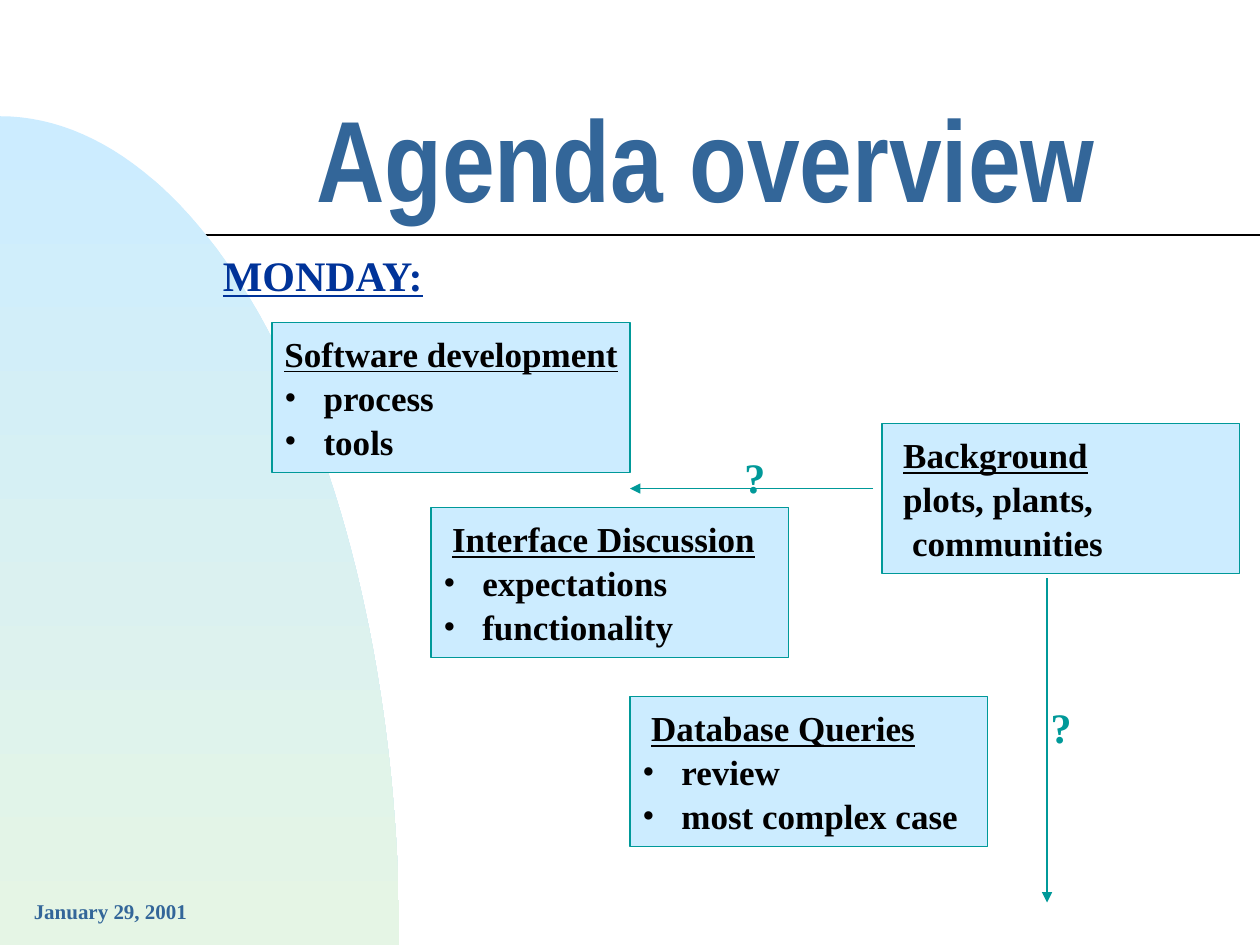
"""Build the agenda overview slide with its topic boxes and arrows."""
import math

from lxml import etree
from pptx import Presentation
from pptx import util as u
from pptx.dml.color import RGBColor
from pptx.enum import shapes, text
from pptx.oxml.ns import qn

BLACK = RGBColor(0x01, 0x00, 0x00)
STEEL = RGBColor(0x33, 0x66, 0x99)
NAVY = RGBColor(0x00, 0x33, 0x99)
TEAL = RGBColor(0x00, 0x99, 0x99)
SKY = RGBColor(0xCC, 0xEC, 0xFF)
MINT = RGBColor(0xE5, 0xF5, 0xE5)
SERIF, NARROW = "Times New Roman", "Arial Narrow"

TITLE = "Agenda overview"
BOX_SIZE = (28.4, 15.9)
BULLET_INDENT, TEXT_INDENT = 0.31, 0.07
TOPICS = [
    {"at": (21.6, 34.1), "heading": "Software development", "indent": 0,
     "bullets": ["process", "tools"]},
    {"at": (34.2, 53.7), "heading": "Interface Discussion", "indent": TEXT_INDENT,
     "bullets": ["expectations", "functionality"]},
    {"at": (50, 73.7), "heading": "Database Queries", "indent": TEXT_INDENT,
     "bullets": ["review", "most complex case"]},
    {"at": (70, 44.8), "heading": "Background", "indent": TEXT_INDENT,
     "lines": [("plots, plants,", TEXT_INDENT), ("communities", 2 * TEXT_INDENT)]},
]
LABELS = [
    ("January 29, 2001", (1.7, 94.4, 16, 4), {"size": 12, "color": STEEL}),
    ("MONDAY:", (16.7, 25.7, 20, 6.7), {"size": 24, "color": NAVY, "underline": True}),
    ("?", (82.4, 73.6, 3.6, 6.7), {"size": 24, "color": TEAL}),
    ("?", (58.1, 47.1, 3.6, 6.7), {"size": 24, "color": TEAL}),
]
ARROWS = [((69.3, 51.7), (50, 51.7)), ((83.1, 61.2), (83.1, 95.5))]
RULE_Y = 24.9
HILL_TOP, HILL_WIDTH, HILL_STEPS = 12.3, 31.7, 60

presentation = Presentation()
presentation.slide_width, presentation.slide_height = u.Inches(10), u.Inches(7.5)


def share(*percents):
    """Turn alternating percentages of slide width and height into lengths."""
    sides = (presentation.slide_width, presentation.slide_height)
    return [round(sides[i % 2] * value / 100) for i, value in enumerate(percents)]


def write(paragraph, content, size=20, color=BLACK, font=SERIF, underline=False,
          indent=0, bullet=False, before=0):
    """Write one bold paragraph with an indent in inches and an optional bullet."""
    properties = paragraph._p.get_or_add_pPr()
    properties.set("marL", str(u.Inches(indent)))
    properties.set("indent", str(-u.Inches(indent) if bullet else 0))
    paragraph.alignment = text.PP_ALIGN.LEFT
    paragraph.space_before = u.Pt(before)
    if bullet:
        etree.SubElement(properties, qn("a:buFont"), typeface=SERIF)
        etree.SubElement(properties, qn("a:buChar"), char="•")
    run = paragraph.add_run()
    run.text = content
    run.font.name, run.font.size, run.font.bold = font, u.Pt(size), True
    run.font.underline = underline
    run.font.color.rgb = color


def add_line(slide, start, end, color, width, arrow=False):
    """Draw a straight line, with a triangle at its end if it is an arrow."""
    line = slide.shapes.add_connector(
        shapes.MSO_CONNECTOR.STRAIGHT, *share(*start), *share(*end))
    line.line.color.rgb, line.line.width = color, u.Pt(width)
    if arrow:
        etree.SubElement(line.line._get_or_add_ln(), qn("a:tailEnd"), type="triangle")
    etree.SubElement(line._element.spPr, qn("a:effectLst"))


def add_hill(slide):
    """Draw the quarter ellipse in the lower left corner."""
    angles = [math.pi / 2 * step / HILL_STEPS for step in range(HILL_STEPS + 1)]
    points = [share(HILL_WIDTH * math.sin(angle),
                    100 - (100 - HILL_TOP) * math.cos(angle)) for angle in angles]
    builder = slide.shapes.build_freeform(*share(0, 100), scale=1.0)
    builder.add_line_segments(points, close=True)
    hill = builder.convert_to_shape()
    hill.shadow.inherit = False
    hill.line.fill.background()
    hill.fill.gradient()
    hill.fill.gradient_angle = 270
    for stop, color in zip(hill.fill.gradient_stops, (SKY, MINT)):
        stop.color.rgb = color


def add_topic(slide, topic):
    """Draw one topic box with its heading and lines."""
    box = slide.shapes.add_shape(
        shapes.MSO_SHAPE.RECTANGLE, *share(*topic["at"], *BOX_SIZE))
    box.shadow.inherit = False
    box.fill.solid()
    box.fill.fore_color.rgb = SKY
    box.line.color.rgb, box.line.width = TEAL, u.Pt(0.75)
    frame = box.text_frame
    frame.word_wrap = True
    frame.margin_right = u.Inches(0.05)
    frame.vertical_anchor = text.MSO_ANCHOR.MIDDLE
    write(frame.paragraphs[0], topic["heading"], underline=True, indent=topic["indent"])
    for bullet in topic.get("bullets", []):
        write(frame.add_paragraph(), bullet, indent=BULLET_INDENT, bullet=True, before=1)
    for line, indent in topic.get("lines", []):
        write(frame.add_paragraph(), line, indent=indent, before=1)


def main():
    """Assemble and save the slide."""
    slide = presentation.slides.add_slide(presentation.slide_layouts[5])
    add_line(slide, (0, RULE_Y), (100, RULE_Y), BLACK, 1)
    add_hill(slide)

    title = slide.shapes.title
    title.left, title.top, title.width, title.height = share(24.1, 7.3, 75, 17.1)
    frame = title.text_frame
    frame.vertical_anchor = text.MSO_ANCHOR.BOTTOM
    frame.auto_size = text.MSO_AUTO_SIZE.NONE
    frame.paragraphs[0].line_spacing = 0.8
    write(frame.paragraphs[0], TITLE, size=66, color=STEEL, font=NARROW)

    for topic in TOPICS:
        add_topic(slide, topic)
    for start, end in ARROWS:
        add_line(slide, start, end, TEAL, 0.75, arrow=True)
    for content, place, style in LABELS:
        label = slide.shapes.add_textbox(*share(*place))
        label.text_frame.word_wrap = True
        write(label.text_frame.paragraphs[0], content, **style)
    presentation.save("out.pptx")


if __name__ == "__main__":
    main()
